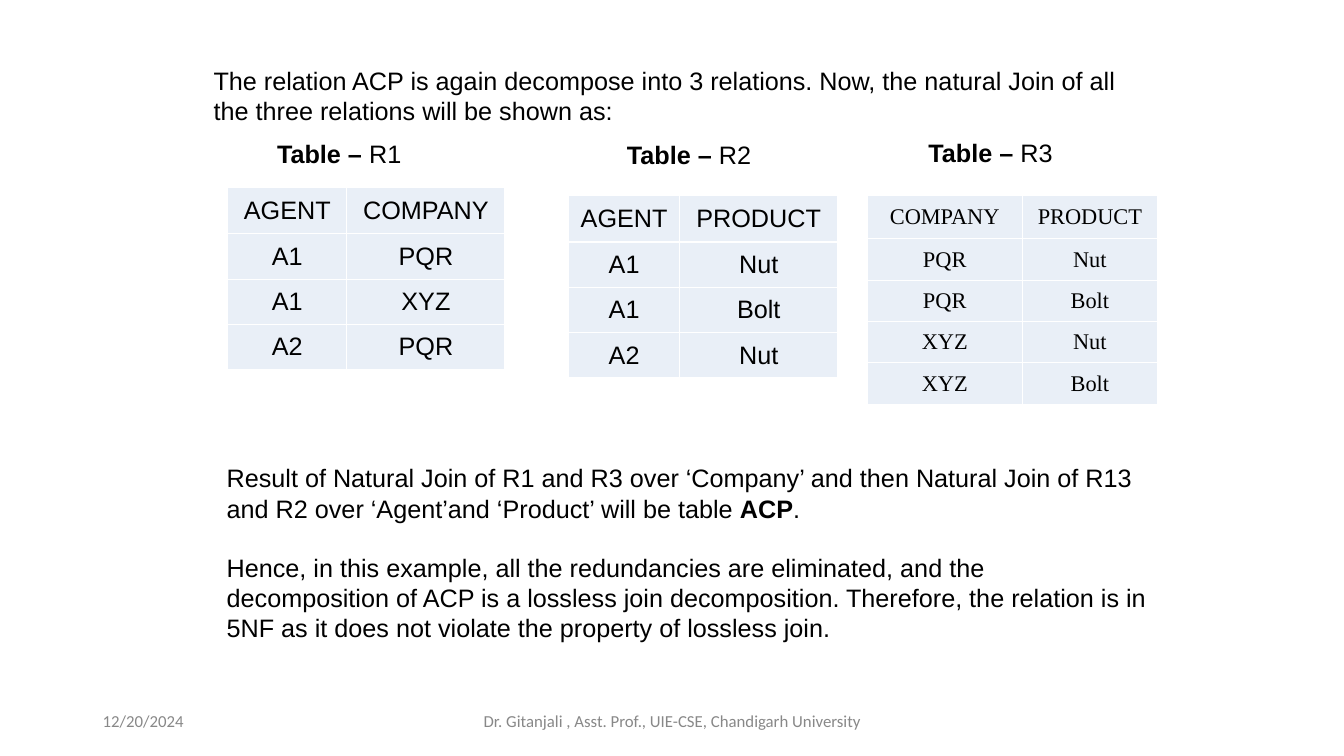
import dataclasses
import typing

import pptx
import pptx.dml.color
import pptx.enum.text
import pptx.oxml
import pptx.oxml.ns
import pptx.util

Inches = pptx.util.Inches
Pt = pptx.util.Pt
RGBColor = pptx.dml.color.RGBColor
Align = pptx.enum.text.PP_ALIGN
Anchor = pptx.enum.text.MSO_ANCHOR
Fit = pptx.enum.text.MSO_AUTO_SIZE

BLACK = RGBColor(0x00, 0x00, 0x00)
GREY = RGBColor(0x88, 0x88, 0x88)
PALE = RGBColor(0xE9, 0xEF, 0xF7)
WHITE = RGBColor(0xFF, 0xFF, 0xFF)

BODY = {"name": "Arial", "size": Pt(18), "bold": False}
SERIF = {"name": "Times New Roman", "size": Pt(16), "bold": False}
FOOT = {"name": "Calibri", "size": Pt(12), "bold": False}
HEAD_PAD = dict.fromkeys(("left", "right", "top", "bottom"), Inches(0.08))
CELL_PAD = {"left": Inches(0.15), "right": Inches(0.15),
            "top": Inches(0.07), "bottom": Inches(0.07)}


class Run(typing.NamedTuple):
    text: str
    bold: bool = False


@dataclasses.dataclass
class Note:
    left: float
    top: float
    width: float
    height: float
    paras: list[list[Run]]
    style: dict = dataclasses.field(default_factory=lambda: BODY)
    color: RGBColor = BLACK
    align: Align = Align.LEFT
    fit: Fit = Fit.SHAPE_TO_FIT_TEXT
    anchor: Anchor = Anchor.TOP


@dataclasses.dataclass
class Grid:
    left: float
    top: float
    cols: list[float]
    head: float
    row: float
    cells: list[list[str]]
    style: dict


def set_all(thing: typing.Any, values: dict) -> None:
    for key, value in values.items():
        setattr(thing, key, value)


def add_run(para: typing.Any, run: Run, style: dict, color: RGBColor) -> None:
    piece = para.add_run()
    piece.text = run.text
    set_all(piece.font, style | {"bold": run.bold})
    piece.font.color.rgb = color


def draw_note(slide: typing.Any, note: Note) -> None:
    box = slide.shapes.add_textbox(Inches(note.left), Inches(note.top),
                                   Inches(note.width), Inches(note.height))
    frame = box.text_frame
    set_all(frame, {"word_wrap": True, "auto_size": note.fit,
                    "vertical_anchor": note.anchor})
    for index, runs in enumerate(note.paras):
        para = frame.add_paragraph() if index else frame.paragraphs[0]
        para.alignment = note.align
        if index:
            para.space_before = Pt(20.7)
        for run in runs:
            add_run(para, run, note.style, note.color)


def add_rules(cell: typing.Any) -> None:
    props = cell._tc.get_or_add_tcPr()
    space = pptx.oxml.ns.nsdecls("a")
    for side in "LRTB":
        props.append(pptx.oxml.parse_xml(
            f'<a:ln{side} {space} w="12700"><a:solidFill>'
            f'<a:srgbClr val="{WHITE}"/></a:solidFill></a:ln{side}>'))


def draw_cell(cell: typing.Any, text: str, pad: dict, style: dict) -> None:
    add_rules(cell)
    cell.fill.solid()
    cell.fill.fore_color.rgb = PALE
    cell.vertical_anchor = Anchor.MIDDLE
    set_all(cell, {f"margin_{side}": size for side, size in pad.items()})
    para = cell.text_frame.paragraphs[0]
    para.alignment = Align.CENTER
    add_run(para, Run(text), style, BLACK)


def draw_grid(slide: typing.Any, grid: Grid) -> None:
    rows = [grid.head] + [grid.row] * (len(grid.cells) - 1)
    table = slide.shapes.add_table(
        len(rows), len(grid.cols), Inches(grid.left), Inches(grid.top),
        Inches(sum(grid.cols)), Inches(sum(rows))).table
    set_all(table, {"first_row": False, "horz_banding": False})
    for col, width in zip(table.columns, grid.cols):
        col.width = Inches(width)
    for r, (row, height) in enumerate(zip(table.rows, rows)):
        row.height = Inches(height)
        for cell, text in zip(row.cells, grid.cells[r]):
            draw_cell(cell, text, CELL_PAD if r else HEAD_PAD, grid.style)


def label(left: float, top: float, name: str) -> Note:
    return Note(left, top, 1.45, 0.4, [[Run("Table –", True), Run(f" {name}")]])


def footer(left: float, width: float, text: str, align: Align) -> Note:
    return Note(left, 6.95, width, 0.4, [[Run(text)]], FOOT, GREY, align,
                Fit.NONE, Anchor.MIDDLE)


NOTES = [
    Note(2.02, 0.6, 9.21, 0.71, [[Run(
        "The relation ACP is again decompose into 3 relations. Now, the "
        "natural Join of all the three relations will be shown as:")]]),
    label(2.65, 1.32, "R1"),
    label(6.12, 1.33, "R2"),
    label(9.11, 1.31, "R3"),
    Note(2.15, 4.54, 9.37, 1.92, [
        [Run("Result of Natural Join of R1 and R3 over ‘Company’ and then "
             "Natural Join of R13 and R2 over ‘Agent’and ‘Product’ will be "
             "table "), Run("ACP", True), Run(".")],
        [Run("Hence, in this example, all the redundancies are eliminated, "
             "and the decomposition of ACP is a lossless join decomposition. "
             "Therefore, the relation is in 5NF as it does not violate the "
             "property of lossless join.")]]),
    footer(0.92, 3, "12/20/2024", Align.LEFT),
    footer(4.42, 4.5, "Dr. Gitanjali , Asst. Prof., UIE-CSE, "
           "Chandigarh University", Align.CENTER),
]

GRIDS = [
    Grid(2.26, 1.86, [1.18, 1.57], 0.46, 0.45,
         [["AGENT", "COMPANY"], ["A1", "PQR"], ["A1", "XYZ"], ["A2", "PQR"]],
         BODY),
    Grid(5.64, 1.94, [1.1, 1.57], 0.46, 0.45,
         [["AGENT", "PRODUCT"], ["A1", "Nut"], ["A1", "Bolt"], ["A2", "Nut"]],
         BODY),
    Grid(8.6, 1.94, [1.54, 1.34], 0.43, 0.41,
         [["COMPANY", "PRODUCT"], ["PQR", "Nut"], ["PQR", "Bolt"],
          ["XYZ", "Nut"], ["XYZ", "Bolt"]], SERIF),
]


def main() -> None:
    deck = pptx.Presentation()
    set_all(deck, {"slide_width": Inches(13.33), "slide_height": Inches(7.5)})
    slide = deck.slides.add_slide(deck.slide_layouts[6])
    for grid in GRIDS:
        draw_grid(slide, grid)
    for note in NOTES:
        draw_note(slide, note)
    deck.save("out.pptx")


if __name__ == "__main__":
    main()
